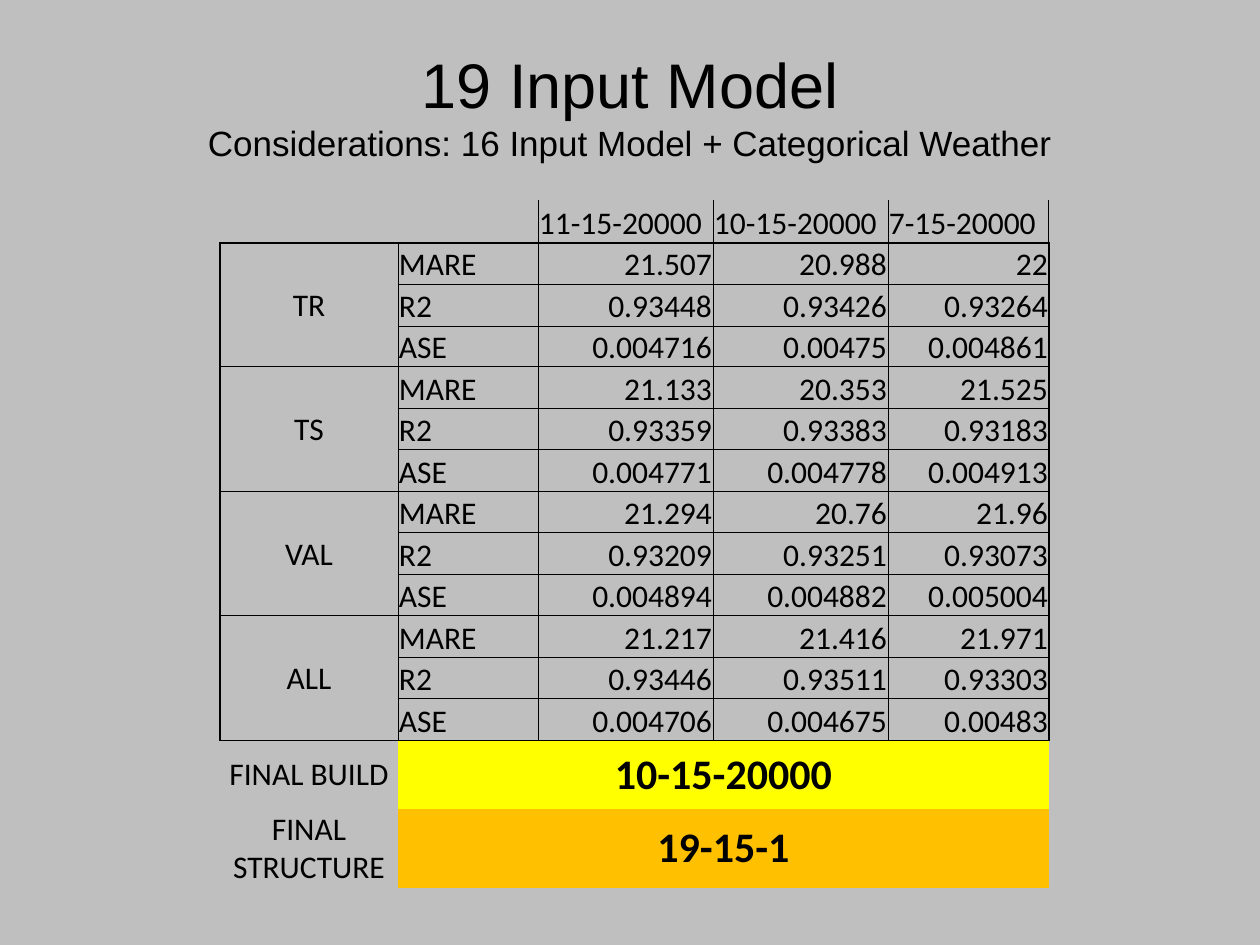
from lxml import etree
from pptx import Presentation
from pptx import util as u
from pptx.dml import color
from pptx.enum import text
from pptx.oxml import ns

SCALE = 914400 / 126
COLS = [178, 140, 175, 175, 161]
ROWS = [43] + [41, 42] * 6 + [68, 79]
LAST = 12
NO_GRID = "{2D5ABB26-0587-4C30-8999-92F81FD0307C}"
HEADS = ["11-15-20000", "10-15-20000", "7-15-20000"]
GROUPS = ["TR", "TS", "VAL", "ALL"]
STATS = ["MARE", "R2", "ASE"]
DATA = [
    ["21.507", "20.988", "22"],
    ["0.93448", "0.93426", "0.93264"],
    ["0.004716", "0.00475", "0.004861"],
    ["21.133", "20.353", "21.525"],
    ["0.93359", "0.93383", "0.93183"],
    ["0.004771", "0.004778", "0.004913"],
    ["21.294", "20.76", "21.96"],
    ["0.93209", "0.93251", "0.93073"],
    ["0.004894", "0.004882", "0.005004"],
    ["21.217", "21.416", "21.971"],
    ["0.93446", "0.93511", "0.93303"],
    ["0.004706", "0.004675", "0.00483"],
]
FINALS = [("FINAL BUILD", "10-15-20000", "FFFF00"),
          ("FINAL STRUCTURE", "19-15-1", "FFC000")]
LEFT, MID, RIGHT = text.PP_ALIGN.LEFT, text.PP_ALIGN.CENTER, text.PP_ALIGN.RIGHT
BASE, CENTER = text.MSO_ANCHOR.BOTTOM, text.MSO_ANCHOR.MIDDLE


def px(n):
    """Turn pixels into EMU."""
    return u.Emu(round(n * SCALE))


def rgb(code):
    """Turn a hex string into a colour."""
    return color.RGBColor.from_string(code)


def style(run, size, face, bold=False):
    """Format one run."""
    font = run.font
    font.size, font.name, font.bold = u.Pt(size), face, bold
    font.color.rgb = rgb("000000")


def widths(row, col):
    """Give the border widths of a cell by side."""
    if row == 0:
        return {"L": 0.5 * (col > 1), "R": 0.5 * (col > 0), "T": 0, "B": 1}
    if row > LAST:
        return {"L": 0, "R": 0, "T": int(row == LAST + 1), "B": 0}
    return {"L": 1 if col == 0 else 0.5, "R": 1 if col == 4 else 0.5,
            "T": 1 if row == 1 else 0.5, "B": 1 if row == LAST else 0.5}


def border(cell, sides):
    """Draw the borders of a cell."""
    props = cell._tc.get_or_add_tcPr()
    for side, width in sides.items():
        line = etree.SubElement(props, ns.qn("a:ln" + side), w=str(u.Pt(width)))
        if width:
            fill = etree.SubElement(line, ns.qn("a:solidFill"))
            etree.SubElement(fill, ns.qn("a:srgbClr"), val="000000")
        else:
            etree.SubElement(line, ns.qn("a:noFill"))


def write(cell, words, align=LEFT, anchor=BASE, size=18, bold=False):
    """Put formatted words into a cell."""
    cell.text_frame.text = words
    cell.vertical_anchor = anchor
    para = cell.text_frame.paragraphs[0]
    para.alignment = align
    style(para.runs[0], size, "Calibri", bold)


def add_title(slide, x, y, w, h):
    """Fill the title placeholder with heading and subheading."""
    title = slide.shapes.title
    title.left, title.top, title.width, title.height = map(px, (x, y, w, h))
    frame = title.text_frame
    frame.text = "19 Input Model\vConsiderations: 16 Input Model + Categorical Weather"
    frame.word_wrap = True
    frame.vertical_anchor = CENTER
    frame.margin_left = frame.margin_right = px(5)
    frame.margin_top = frame.margin_bottom = px(5)
    para = frame.paragraphs[0]
    para.alignment = MID
    for run, size in zip(para.runs, (36, 20)):
        style(run, size, "Arial")


def add_scores(slide, x, y):
    """Build the table of scores with its final rows."""
    shape = slide.shapes.add_table(len(ROWS), len(COLS), px(x), px(y),
                                   px(sum(COLS)), px(sum(ROWS)))
    table = shape.table
    table.first_row = table.horz_banding = False
    table._tbl.tblPr.find(ns.qn("a:tableStyleId")).text = NO_GRID
    for col, wide in zip(table.columns, COLS):
        col.width = px(wide)
    for row, high in zip(table.rows, ROWS):
        row.height = px(high)
    for top in range(1, LAST, 3):
        table.cell(top, 0).merge(table.cell(top + 2, 0))
    for row in (LAST + 1, LAST + 2):
        table.cell(row, 1).merge(table.cell(row, 4))
    for r in range(len(ROWS)):
        for c in range(len(COLS)):
            cell = table.cell(r, c)
            cell.margin_left = cell.margin_right = cell.margin_top = px(1)
            cell.margin_bottom = 0
            if not cell.is_spanned:
                border(cell, widths(r, c))
            cell.fill.background()
    for c, head in enumerate(HEADS, 2):
        write(table.cell(0, c), head)
    for i, group in enumerate(GROUPS):
        write(table.cell(1 + 3 * i, 0), group, MID, CENTER)
    for r, values in enumerate(DATA, 1):
        write(table.cell(r, 1), STATS[(r - 1) % 3])
        for c, value in enumerate(values, 2):
            write(table.cell(r, c), value, RIGHT)
    for r, (label, result, tint) in enumerate(FINALS, LAST + 1):
        write(table.cell(r, 0), label, MID, CENTER)
        cell = table.cell(r, 1)
        write(cell, result, MID, CENTER, 24, True)
        cell.fill.solid()
        cell.fill.fore_color.rgb = rgb(tint)


def main():
    """Build and save the slide."""
    deck = Presentation()
    deck.slide_width, deck.slide_height = px(1260), px(945)
    slide = deck.slides.add_slide(deck.slide_layouts[5])
    fill = slide.background.fill
    fill.solid()
    fill.fore_color.rgb = rgb("BFBFBF")
    add_scores(slide, 220, 200)
    add_title(slide, 92, 0, 1076, 209)
    deck.save("out.pptx")


if __name__ == "__main__":
    main()
